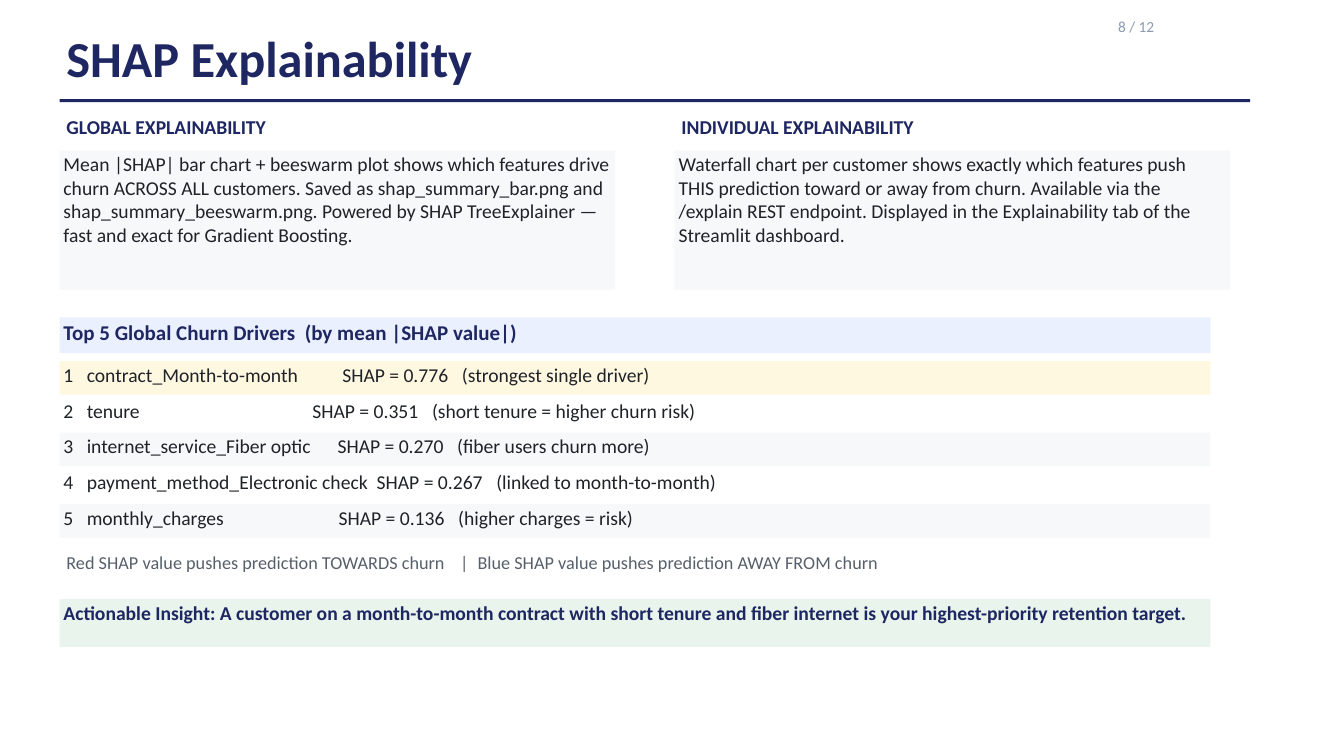
from lxml import etree
from pptx import Presentation
from pptx.dml.color import RGBColor
from pptx.enum import shapes, text
from pptx.oxml.ns import qn
from pptx.util import Cm, Pt

COLORS = {
    "navy": "1E2761", "ink": "1F2328", "muted": "57606A", "page": "8B9AAD",
    "panel": "F7F8FA", "header": "EBF0FF", "top": "FFF8E1",
    "plain": "FFFFFF", "insight": "E8F4EC",
}
FONT = "Calibri"
LEFT, WIDTH = 2.25, 43.5
PANEL_INSET = (0.15, 0.06, 0.15, 0.06)

EXPLANATIONS = [
    ("GLOBAL EXPLAINABILITY",
     "Mean |SHAP| bar chart + beeswarm plot shows which features drive churn "
     "ACROSS ALL customers. Saved as shap_summary_bar.png and "
     "shap_summary_beeswarm.png. Powered by SHAP TreeExplainer — fast and "
     "exact for Gradient Boosting."),
    ("INDIVIDUAL EXPLAINABILITY",
     "Waterfall chart per customer shows exactly which features push THIS "
     "prediction toward or away from churn. Available via the /explain REST "
     "endpoint. Displayed in the Explainability tab of the Streamlit "
     "dashboard."),
]
# feature, SHAP value, remark, tab position of the value (cm), row colour
DRIVERS = [
    ("contract_Month-to-month", "0.776", "strongest single driver", 10.54, "top"),
    ("tenure", "0.351", "short tenure = higher churn risk", 9.41, "plain"),
    ("internet_service_Fiber optic", "0.270", "fiber users churn more", 10.36, "panel"),
    ("payment_method_Electronic check", "0.267", "linked to month-to-month", 11.84, "plain"),
    ("monthly_charges", "0.136", "higher charges = risk", 10.4, "panel"),
]


def rgb(name):
    return RGBColor.from_string(COLORS[name])


def write(holder, content, size, color, bold=False, inset=(0, 0, 0, 0), tabs=()):
    """Fill a shape with one left-aligned paragraph at 1.2 line spacing."""
    frame = holder.text_frame
    frame.word_wrap = True
    frame.auto_size = text.MSO_AUTO_SIZE.NONE
    frame.vertical_anchor = text.MSO_ANCHOR.TOP
    (frame.margin_left, frame.margin_top,
     frame.margin_right, frame.margin_bottom) = map(Cm, inset)
    paragraph = frame.paragraphs[0]
    if tabs:
        stops = etree.SubElement(paragraph._p.get_or_add_pPr(), qn("a:tabLst"))
        for position in tabs:
            etree.SubElement(stops, qn("a:tab"), pos=str(int(Cm(position))), algn="l")
    paragraph.alignment = text.PP_ALIGN.LEFT
    paragraph.line_spacing = Pt(size * 1.2)
    paragraph.space_before = Pt(0)
    run = paragraph.add_run()
    run.text = content
    run.font.name = FONT
    run.font.size = Pt(size)
    run.font.bold = bold
    run.font.color.rgb = rgb(color)


def label(slide, box, content, size, color, **style):
    write(slide.shapes.add_textbox(*map(Cm, box)), content, size, color, **style)


def band(slide, box, fill):
    rectangle = slide.shapes.add_shape(shapes.MSO_SHAPE.RECTANGLE, *map(Cm, box))
    rectangle.shadow.inherit = False
    rectangle.fill.solid()
    rectangle.fill.fore_color.rgb = rgb(fill)
    rectangle.line.fill.background()
    return rectangle


def header(slide, left, top, width):
    label(slide, (left + 40.01, top, 5.49, 1.02), "8 / 12", 16.5, "page")
    title = slide.shapes.title
    title.left, title.top, title.width, title.height = map(
        Cm, (left + 0.26, top + 0.39, 38.48, 2.46))
    write(title, "SHAP Explainability", 54, "navy", bold=True)
    band(slide, (left, top + 3.12, width, 0.11), "navy")


def explanation(slide, left, top, width, heading, body):
    label(slide, (left + 0.26, top, width - 0.5, 1.07), heading, 21, "navy", bold=True)
    panel = band(slide, (left, top + 1.35, width, 5.26), "panel")
    write(panel, body, 21, "ink", inset=PANEL_INSET)


def driver_list(slide, left, top, width):
    heading = band(slide, (left, top, width, 1.35), "header")
    write(heading, "Top 5 Global Churn Drivers\t(by mean |SHAP value|)", 22.5,
          "navy", bold=True, inset=PANEL_INSET, tabs=[9.12])
    for rank, (feature, value, remark, value_tab, fill) in enumerate(DRIVERS, 1):
        row = band(slide, (left, top + 1.65 + (rank - 1) * 1.35, width, 1.27), fill)
        write(row, f"{rank}\t{feature}\tSHAP = {value}\t({remark})", 21, "ink",
              inset=PANEL_INSET, tabs=[0.88, value_tab, value_tab + 4.52])


def takeaway(slide, left, top, width):
    label(slide, (left + 0.26, top, width - 0.5, 1.37),
          "Red SHAP value pushes prediction TOWARDS churn\t|\t"
          "Blue SHAP value pushes prediction AWAY FROM churn",
          19.5, "muted", tabs=[14.88, 15.54])
    insight = band(slide, (left, top + 1.8, width, 1.8), "insight")
    write(insight, "Actionable Insight: A customer on a month-to-month contract with "
          "short tenure and fiber internet is your highest-priority retention target.",
          21, "navy", bold=True, inset=PANEL_INSET)


def main():
    deck = Presentation()
    deck.slide_width, deck.slide_height = Cm(50.8), Cm(28.575)
    slide = deck.slides.add_slide(deck.slide_layouts.get_by_name("Title Only"))
    header(slide, LEFT, 0.63, 45)
    for column, (heading, body) in enumerate(EXPLANATIONS):
        explanation(slide, LEFT + column * 23.25, 4.34, 21, heading, body)
    driver_list(slide, LEFT, 12, WIDTH)
    takeaway(slide, LEFT, 20.85, WIDTH)
    deck.save("out.pptx")


if __name__ == "__main__":
    main()
